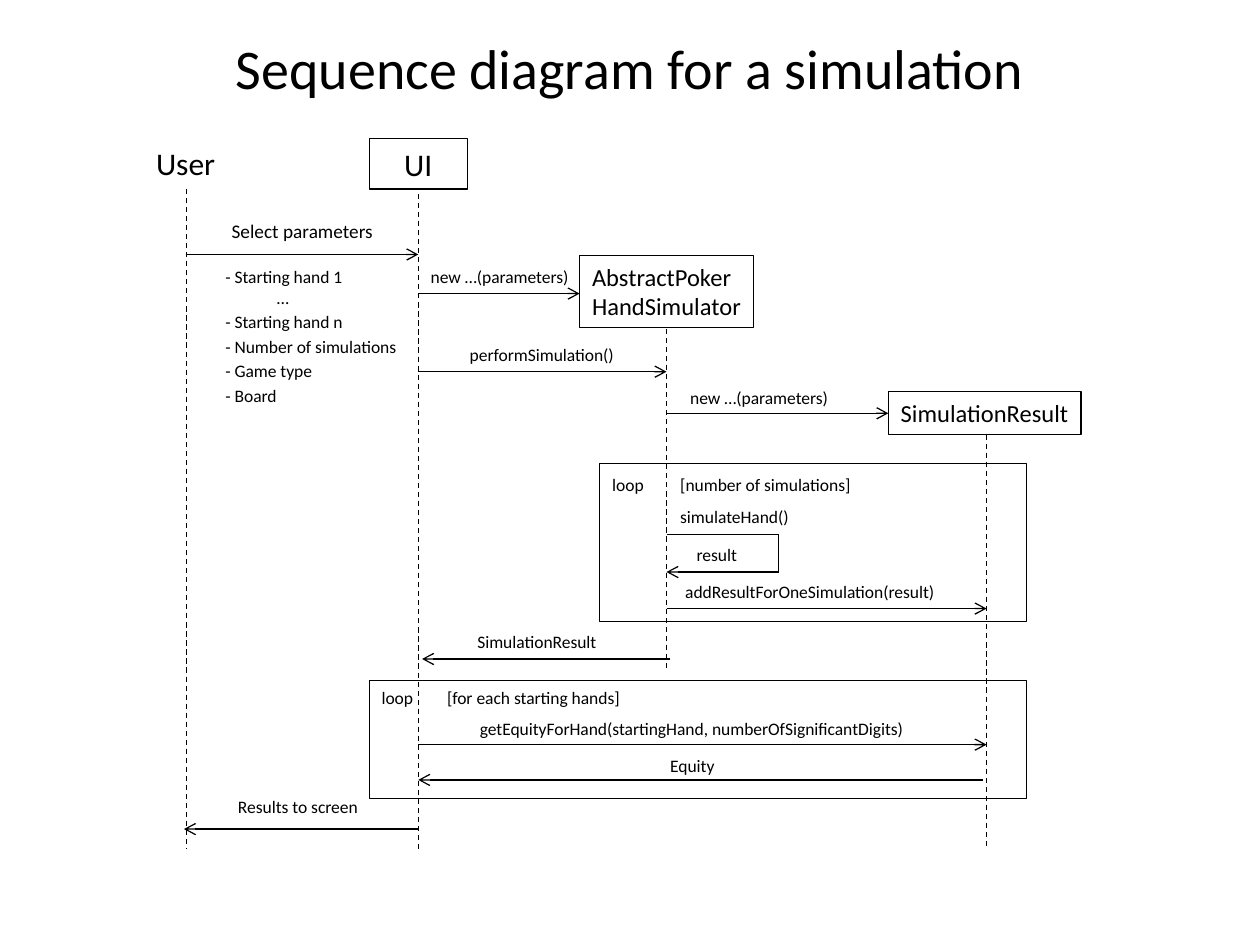
from collections import namedtuple

from lxml.etree import SubElement
from pptx import Presentation
from pptx.dml.color import RGBColor
from pptx.enum.dml import MSO_LINE
from pptx.enum.shapes import MSO_CONNECTOR, MSO_SHAPE
from pptx.enum.text import MSO_ANCHOR, PP_ALIGN
from pptx.oxml.ns import qn
from pptx.util import Inches, Pt

BLACK = RGBColor(0x00, 0x00, 0x00)
FONT = "Calibri"
LABEL_HEIGHT = 0.27
USER_X, UI_X, SIMULATOR_X, RESULT_X = 1.48, 3.32, 5.29, 7.83
LIFELINE_END = 6.74

Box = namedtuple("Box", "left top width height")


def write(shape, text, size, align=PP_ALIGN.LEFT, wrap=False, anchor=MSO_ANCHOR.TOP):
    """Put text into a shape and format every run."""
    frame = shape.text_frame
    frame.text = text
    frame.word_wrap = wrap
    frame.vertical_anchor = anchor
    for paragraph in frame.paragraphs:
        paragraph.alignment = align
        for run in paragraph.runs:
            run.font.name = FONT
            run.font.size = Pt(size)
            run.font.color.rgb = BLACK


def add_label(slide, box, text, size=10, **layout):
    """Add a text box."""
    shape = slide.shapes.add_textbox(*map(Inches, box))
    write(shape, text, size, **layout)


def add_frame(slide, box, line_width):
    """Add an unfilled rectangle with a black outline."""
    shape = slide.shapes.add_shape(MSO_SHAPE.RECTANGLE, *map(Inches, box))
    shape.shadow.inherit = False
    shape.fill.background()
    shape.line.color.rgb = BLACK
    shape.line.width = Pt(line_width)
    return shape


def add_line(slide, start, end, arrow=False, dashed=False):
    """Add a straight line, with an open arrowhead or dashes if asked."""
    connector = slide.shapes.add_connector(
        MSO_CONNECTOR.STRAIGHT, *map(Inches, (*start, *end)))
    connector.line.color.rgb = BLACK
    connector.line.width = Pt(0.75)
    if dashed:
        connector.line.dash_style = MSO_LINE.DASH
    if arrow:
        SubElement(connector.line._get_or_add_ln(), qn("a:tailEnd"), type="arrow")
    SubElement(connector._element.spPr, qn("a:effectLst"))


def add_message(slide, start_x, end_x, y, text, label_left, label_width, rise=LABEL_HEIGHT,
                wrap=False):
    """Add a horizontal arrow with its label above."""
    add_line(slide, (start_x, y), (end_x, y), arrow=True)
    add_label(slide, Box(label_left, y - rise, label_width, LABEL_HEIGHT), text, wrap=wrap)


def add_title(slide, box):
    """Add the centred slide title."""
    add_label(slide, box, "Sequence diagram for a simulation", 32,
              align=PP_ALIGN.CENTER, wrap=True, anchor=MSO_ANCHOR.MIDDLE)


def add_participant(slide, box, text, size, lifeline_x, lifeline_top, lifeline_end,
                    framed=True, **layout):
    """Add a participant and the dashed lifeline below it."""
    if framed:
        write(add_frame(slide, box, 0.75), text, size, **layout)
    else:
        add_label(slide, box, text, size, **layout)
    add_line(slide, (lifeline_x, lifeline_top), (lifeline_x, lifeline_end), dashed=True)


def add_participants(slide, box):
    """Add the four participants of the diagram."""
    left, top = box.left, box.top
    add_participant(slide, Box(left, top, 0.67, 0.4), "User", 18,
                    USER_X, top + 0.41, LIFELINE_END, framed=False)
    add_participant(slide, Box(left + 1.79, top + 0.01, 0.78, 0.4), "UI", 18,
                    UI_X, top + 0.45, LIFELINE_END, align=PP_ALIGN.CENTER, wrap=True)
    add_participant(slide, Box(left + 3.46, top + 0.94, 1.38, 0.57),
                    "AbstractPoker\nHandSimulator", 14, SIMULATOR_X, top + 1.52, 5.32)
    add_participant(slide, Box(left + 5.91, top + 2.02, 1.53, 0.34),
                    "SimulationResult", 14, RESULT_X, top + 2.36, LIFELINE_END)


def add_parameter_selection(slide, box):
    """Add the message from user to UI and the list of parameters."""
    left, top = box.left, box.top
    add_label(slide, Box(left + 0.05, top, 1.33, 0.29), "Select parameters", 11)
    add_line(slide, (USER_X, top + 0.33), (UI_X, top + 0.33), arrow=True)
    parameters = [
        ("- Starting hand 1", 0.37, 1.13),
        ("- Starting hand n", 0.73, 1.13),
        ("- Number of simulations", 0.93, 1.56),
        ("- Game type", 1.12, 0.89),
        ("- Board", 1.32, 0.61),
    ]
    for text, offset, width in parameters:
        add_label(slide, Box(left, top + offset, width, LABEL_HEIGHT), text)
    add_label(slide, Box(left + 0.19, top + 0.54, 0.73, LABEL_HEIGHT), "…",
              align=PP_ALIGN.CENTER, wrap=True)


def add_setup_messages(slide, box):
    """Add the messages that create the simulator and start the simulation."""
    left, top = box.left, box.top
    add_message(slide, UI_X, 4.6, top + 0.27, "new …(parameters)", left, 1.36, wrap=True)
    add_message(slide, UI_X, SIMULATOR_X, top + 0.89, "performSimulation()",
                left + 0.31, 1.36, wrap=True)
    add_message(slide, SIMULATOR_X, 7.05, top + 1.22, "new …(parameters)",
                left + 2.06, 1.36, rise=0.26, wrap=True)


def add_loop(slide, box, condition, condition_offset, condition_width, label_offset):
    """Add a loop frame with its keyword and condition."""
    add_frame(slide, box, 0.5)
    top = box.top + label_offset
    add_label(slide, Box(box.left, top, 0.45, LABEL_HEIGHT), "loop")
    add_label(slide, Box(box.left + condition_offset, top, condition_width, LABEL_HEIGHT),
              condition)


def add_simulation_loop(slide, box):
    """Add the loop over the simulations."""
    left, top = box.left, box.top
    add_loop(slide, box, "[number of simulations]", 0.54, 1.55, 0.03)
    call_y, return_y, turn_x = top + 0.56, top + 0.86, left + 1.42
    add_label(slide, Box(left + 0.54, call_y - LABEL_HEIGHT, 1.06, LABEL_HEIGHT),
              "simulateHand()")
    add_line(slide, (SIMULATOR_X, call_y), (turn_x, call_y))
    add_line(slide, (turn_x, call_y), (turn_x, return_y))
    add_message(slide, turn_x, SIMULATOR_X, return_y, "result", left + 0.67, 0.52)
    add_message(slide, SIMULATOR_X, RESULT_X, top + 1.15,
                "addResultForOneSimulation(result)", left + 0.58, 2.26, wrap=True)


def add_equity_loop(slide, box):
    """Add the loop over the starting hands."""
    left, top = box.left, box.top
    add_loop(slide, box, "[for each starting hands]", 0.52, 1.57, 0)
    add_message(slide, UI_X, RESULT_X, top + 0.51,
                "getEquityForHand(startingHand, numberOfSignificantDigits)",
                left + 0.78, 3.57, rise=0.26)
    add_message(slide, 7.8, UI_X, top + 0.79, "Equity", left + 2.29, 0.55, rise=0.25)


def add_return_messages(slide, box):
    """Add the messages that bring the results back to the user."""
    left, top = box.left, box.top
    add_message(slide, 5.32, 3.35, top + 0.27, "SimulationResult", left + 1.9, 1.36, wrap=True)
    add_message(slide, UI_X, 1.46, top + 1.62, "Results to screen", left, 1.22,
                rise=0.31, wrap=True)


def main():
    """Build the slide and save it."""
    presentation = Presentation()
    presentation.slide_width = Inches(10)
    presentation.slide_height = Inches(7.5)
    slide = presentation.slides.add_slide(presentation.slide_layouts[6])
    add_title(slide, Box(0.5, 0.3, 9, 0.46))
    add_participants(slide, Box(1.14, 1.09, 7.44, 5.65))
    add_parameter_selection(slide, Box(1.69, 1.69, 1.56, 1.59))
    add_setup_messages(slide, Box(3.32, 2.06, 3.73, 1.22))
    add_simulation_loop(slide, Box(4.76, 3.68, 3.39, 1.25))
    add_equity_loop(slide, Box(2.93, 5.4, 5.22, 0.94))
    add_return_messages(slide, Box(1.79, 4.96, 3.53, 1.62))
    presentation.save("out.pptx")


if __name__ == "__main__":
    main()
